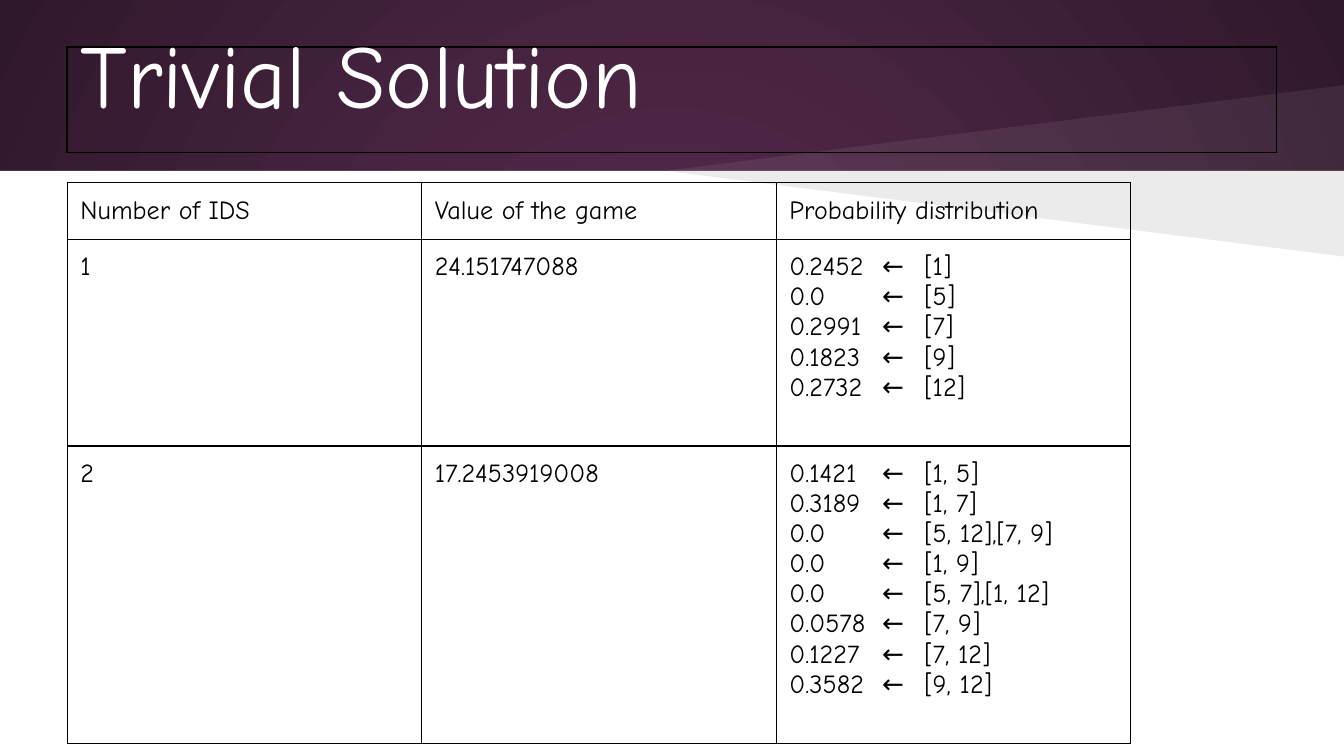
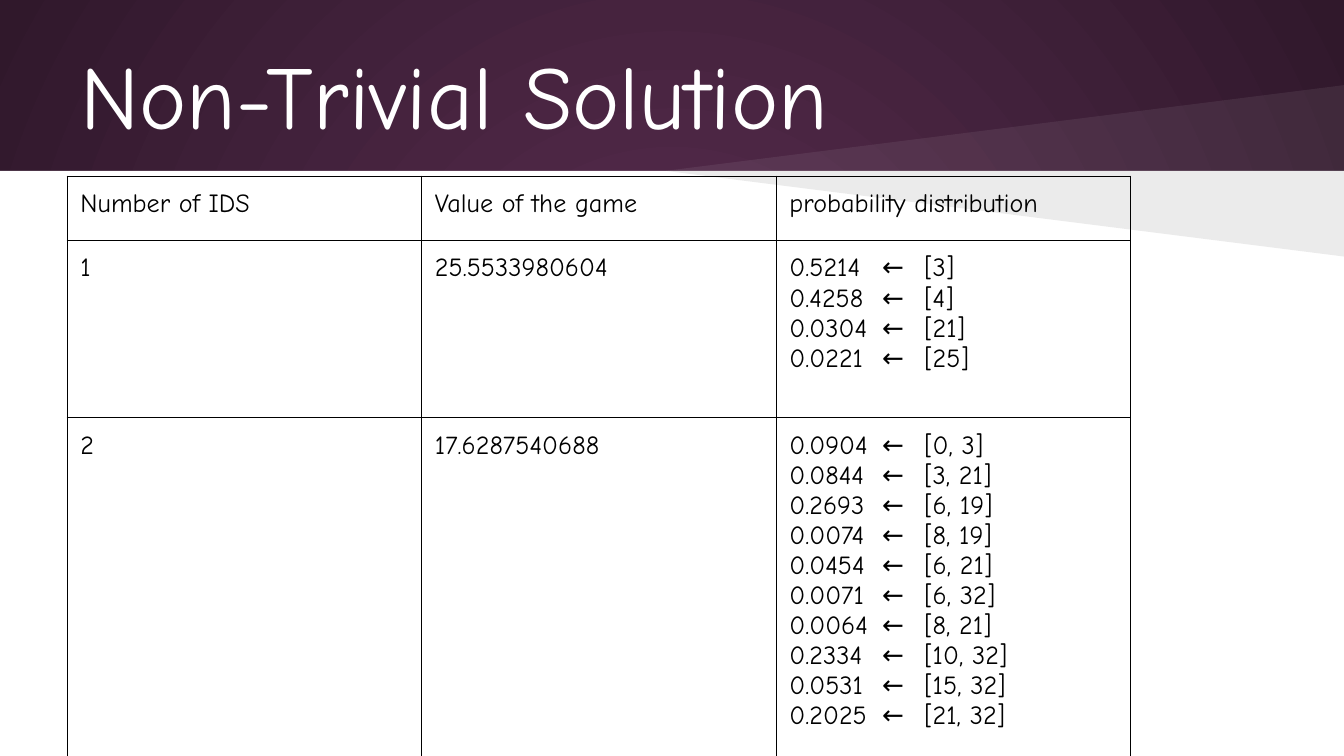
import lxml.etree
import pptx
import pptx.dml.color
import pptx.enum.shapes
import pptx.enum.text
import pptx.oxml.ns
import pptx.util

Cm = pptx.util.Cm
qn = pptx.oxml.ns.qn

FONT = "Comic Neue"
BLACK, WHITE = "000000", "FFFFFF"
PLUM, DARK_PLUM = "592D50", "30182B"
WIDTH, HEIGHT = 25.4, 14.29
BAND_HEIGHT = 3.23
WEDGE_LEFT, WEDGE_HEIGHT = 12.58, 1.62
MARGIN, INSET = 1.27, 0.25
COLUMN_WIDTH = 6.7
TAB_STOPS = (1.75, 2.55)

SLIDES = [
    {
        "title": "Trivial Solution",
        "title_box": (0.89, 2.0),
        "title_bottom_inset": 1.27,
        "outline": BLACK,
        "table_top": 3.45,
        "row_heights": (1.07, 3.91, 5.62),
        "header": ("Number of IDS", "Value of the game", "Probability distribution"),
        "games": [
            ("1", "24.151747088", [
                ("0.2452", "[1]"), ("0.0", "[5]"), ("0.2991", "[7]"),
                ("0.1823", "[9]"), ("0.2732", "[12]"),
            ]),
            ("2", "17.2453919008", [
                ("0.1421", "[1, 5]"), ("0.3189", "[1, 7]"), ("0.0", "[5, 12],[7, 9]"),
                ("0.0", "[1, 9]"), ("0.0", "[5, 7],[1, 12]"), ("0.0578", "[7, 9]"),
                ("0.1227", "[7, 12]"), ("0.3582", "[9, 12]"),
            ]),
        ],
    },
    {
        "title": "Non-Trivial Solution",
        "title_box": (0.58, 2.39),
        "title_bottom_inset": INSET,
        "outline": None,
        "table_top": 3.33,
        "row_heights": (1.21, 3.35, 6.18),
        "header": ("Number of IDS", "Value of the game", "probability distribution"),
        "games": [
            ("1", "25.5533980604", [
                ("0.5214", "[3]"), ("0.4258", "[4]"), ("0.0304", "[21]"), ("0.0221", "[25]"),
            ]),
            ("2", "17.6287540688", [
                ("0.0904", "[0, 3]"), ("0.0844", "[3, 21]"), ("0.2693", "[6, 19]"),
                ("0.0074", "[8, 19]"), ("0.0454", "[6, 21]"), ("0.0071", "[6, 32]"),
                ("0.0064", "[8, 21]"), ("0.2334", "[10, 32]"), ("0.0531", "[15, 32]"),
                ("0.2025", "[21, 32]"),
            ]),
        ],
    },
]


def color(value):
    return pptx.dml.color.RGBColor.from_string(value)


def child(parent, tag, **attributes):
    element = lxml.etree.SubElement(parent, qn(tag))
    for name, value in attributes.items():
        element.set(name, str(value))
    return element


def write_text(frame, text, size, text_color, tabs=()):
    frame.word_wrap = True
    frame.text = text
    for paragraph in frame.paragraphs:
        paragraph.font.size = pptx.util.Pt(size)
        for run in paragraph.runs:
            run.font.name = FONT
            run.font.size = pptx.util.Pt(size)
            run.font.color.rgb = color(text_color)
        if tabs:
            properties = paragraph._p.get_or_add_pPr()
            tab_list = lxml.etree.Element(qn("a:tabLst"))
            for position in tabs:
                child(tab_list, "a:tab", pos=Cm(position), algn="l")
            properties.insert(0, tab_list)
            defaults = properties.find(qn("a:defRPr"))
            if defaults is not None:
                properties.append(defaults)


def paint(shape, fill, opacity=100):
    shape.shadow.inherit = False
    shape.fill.solid()
    shape.fill.fore_color.rgb = color(fill)
    shape.line.fill.background()
    if opacity < 100:
        fill_color = shape._element.spPr.find(qn("a:solidFill"))[0]
        child(fill_color, "a:alpha", val=opacity * 1000)


def add_wedge(slide, direction, fill, opacity):
    builder = slide.shapes.build_freeform(Cm(WEDGE_LEFT), Cm(BAND_HEIGHT))
    builder.add_line_segments([
        (Cm(WIDTH), Cm(BAND_HEIGHT)),
        (Cm(WIDTH), Cm(BAND_HEIGHT + direction * WEDGE_HEIGHT)),
    ])
    paint(builder.convert_to_shape(), fill, opacity)


def add_backdrop(slide):
    fill = slide.background.fill
    fill.gradient()
    for stop, value in zip(fill.gradient_stops, (PLUM, DARK_PLUM)):
        stop.color.rgb = color(value)
    gradient = slide._element.find(".//" + qn("a:gradFill"))
    gradient.remove(gradient.find(qn("a:lin")))
    center = child(gradient, "a:path", path="circle")
    child(center, "a:fillToRect", l=50000, t=50000, r=50000, b=50000)

    panel = slide.shapes.add_shape(
        pptx.enum.shapes.MSO_SHAPE.RECTANGLE,
        0, Cm(BAND_HEIGHT), Cm(WIDTH), Cm(HEIGHT - BAND_HEIGHT))
    paint(panel, WHITE)
    add_wedge(slide, -1, WHITE, 7)
    add_wedge(slide, 1, BLACK, 8)


def add_title(slide, content):
    top, height = content["title_box"]
    box = slide.shapes.add_textbox(
        Cm(MARGIN), Cm(top), Cm(WIDTH - 2 * MARGIN), Cm(height))
    if content["outline"]:
        box.line.color.rgb = color(content["outline"])
        box.line.width = pptx.util.Pt(0.75)
    frame = box.text_frame
    frame.margin_left = frame.margin_right = frame.margin_top = Cm(INSET)
    frame.margin_bottom = Cm(content["title_bottom_inset"])
    frame.vertical_anchor = pptx.enum.text.MSO_ANCHOR.MIDDLE
    write_text(frame, content["title"], 48, WHITE)


def format_cell(cell):
    cell.margin_left = cell.margin_right = Cm(INSET)
    cell.margin_top = cell.margin_bottom = Cm(INSET)
    properties = cell._tc.get_or_add_tcPr()
    for side in ("a:lnL", "a:lnR", "a:lnT", "a:lnB"):
        border = child(properties, side, w=pptx.util.Pt(0.75))
        child(child(border, "a:solidFill"), "a:srgbClr", val=BLACK)
    cell.fill.background()


def add_results(slide, content):
    rows = [content["header"]]
    for number, value, distribution in content["games"]:
        lines = [f"{probability}\t←\t{nodes}" for probability, nodes in distribution]
        rows.append((number, value, "\n".join(lines)))
    heights = content["row_heights"]
    columns = len(content["header"])
    table = slide.shapes.add_table(
        len(rows), columns, Cm(MARGIN), Cm(content["table_top"]),
        Cm(columns * COLUMN_WIDTH), Cm(sum(heights))).table
    table.first_row = table.horz_banding = False
    for column in table.columns:
        column.width = Cm(COLUMN_WIDTH)
    for row, height, texts in zip(table.rows, heights, rows):
        row.height = Cm(height)
        for cell, text in zip(row.cells, texts):
            format_cell(cell)
            write_text(cell.text_frame, text, 14, BLACK, TAB_STOPS if "\t" in text else ())


def main():
    presentation = pptx.Presentation()
    presentation.slide_width = Cm(WIDTH)
    presentation.slide_height = Cm(HEIGHT)
    for content in SLIDES:
        slide = presentation.slides.add_slide(presentation.slide_layouts[6])
        add_backdrop(slide)
        add_results(slide, content)
        add_title(slide, content)
    presentation.save("out.pptx")


if __name__ == "__main__":
    main()
